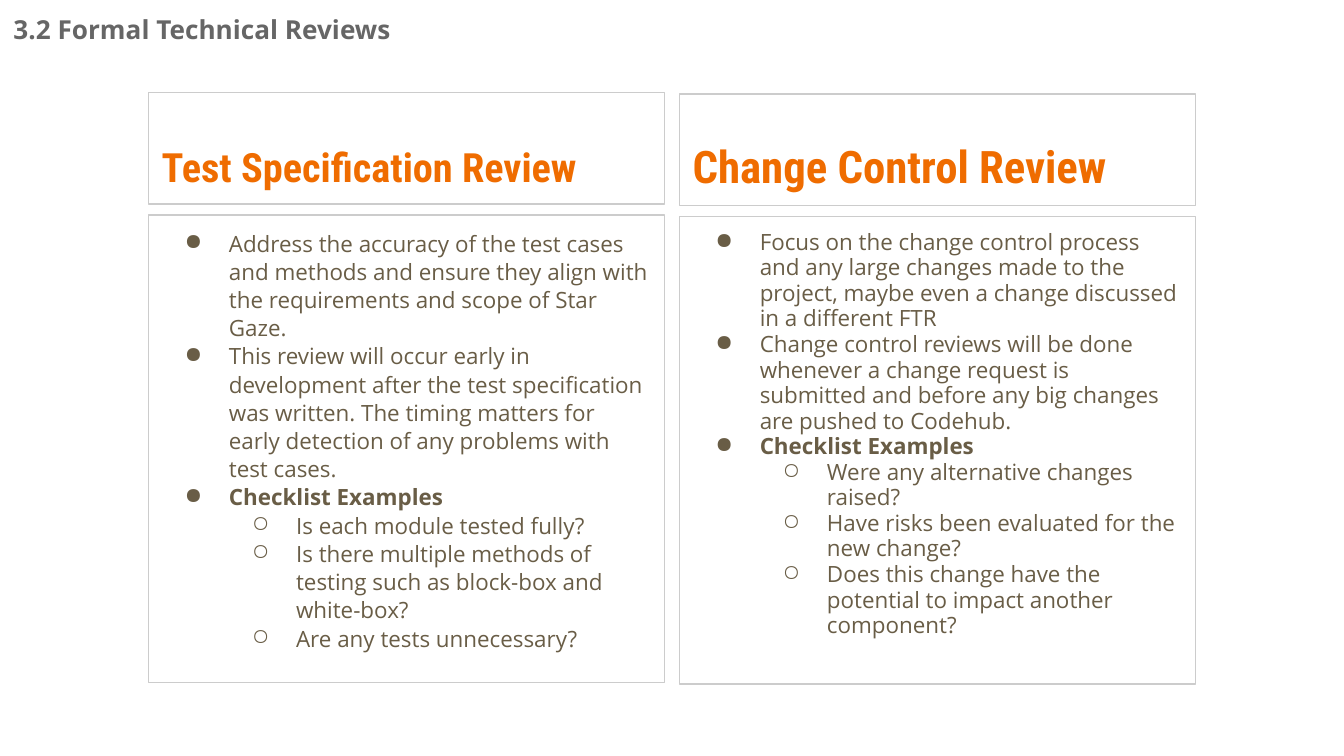
from dataclasses import dataclass

import lxml.etree
import pptx
import pptx.dml.color
import pptx.enum.shapes
import pptx.enum.text
import pptx.oxml.ns
import pptx.util

PX = 4572  # EMU per px, at 200 px to the inch
BROWN = "695D46"
BULLETS = "●○"
STEP, INDENT, INSET = 100, 66, 20
HEAD_H, BODY_H, CARD_W = 166, 696, 768
BODY_DROP = 182


@dataclass
class Item:
    text: str
    level: int = 0
    bold: bool = False


@dataclass
class Card:
    left: int
    top: int
    title: str
    size: float
    spacing: float
    items: list[Item]


CARDS = [
    Card(221, 138, "Test Specification Review", 21.6, 1.05, [
        Item("Address the accuracy of the test cases and methods and ensure they "
             "align with the requirements and scope of Star Gaze."),
        Item("This review will occur early in development after the test "
             "specification was written. The timing matters for early detection "
             "of any problems with test cases."),
        Item("Checklist Examples", bold=True),
        Item("Is each module tested fully?", 1),
        Item("Is there multiple methods of testing such as block-box and white-box?", 1),
        Item("Are any tests unnecessary?", 1),
    ]),
    Card(1011, 140, "Change Control Review", 24, 0.95, [
        Item("Focus on the change control process and any large changes made to "
             "the project, maybe even a change discussed in a different FTR"),
        Item("Change control reviews will be done whenever a change request is "
             "submitted and before any big changes are pushed to Codehub."),
        Item("Checklist Examples", bold=True),
        Item("Were any alternative changes raised?", 1),
        Item("Have risks been evaluated for the new change?", 1),
        Item("Does this change have the potential to impact another component?", 1),
    ]),
]


def px(n: int) -> pptx.util.Emu:
    return pptx.util.Emu(n * PX)


def rgb(code: str) -> pptx.dml.color.RGBColor:
    return pptx.dml.color.RGBColor.from_string(code)


def style(para, font: str, size: float, color: str, bold: bool) -> None:
    para.alignment = pptx.enum.text.PP_ALIGN.LEFT
    for run in para.runs:
        run.font.name = font
        run.font.size = pptx.util.Pt(size)
        run.font.color.rgb = rgb(color)
        run.font.bold = bold


def set_frame(frame, anchor) -> None:
    """Wrap the text, anchor it and give it equal insets."""
    frame.word_wrap = True
    frame.auto_size = pptx.enum.text.MSO_AUTO_SIZE.NONE
    frame.vertical_anchor = anchor
    frame.margin_left = frame.margin_right = px(INSET)
    frame.margin_top = frame.margin_bottom = px(INSET)


def add_box(slide, left: int, top: int, height: int, anchor):
    """Add an outlined box of card width and return its text frame."""
    box = slide.shapes.add_shape(pptx.enum.shapes.MSO_SHAPE.RECTANGLE,
                                 px(left), px(top), px(CARD_W), px(height))
    box.shadow.inherit = False
    box.fill.background()
    box.line.color.rgb = rgb("CCCCCC")
    box.line.width = pptx.util.Pt(0.75)
    set_frame(box.text_frame, anchor)
    return box.text_frame


def set_bullet(para, level: int) -> None:
    para.level = level
    props = para._p.get_or_add_pPr()
    props.set("marL", str(px(STEP * (level + 1))))
    props.set("indent", str(px(-INDENT)))
    qn = pptx.oxml.ns.qn
    color = lxml.etree.SubElement(props, qn("a:buClr"))
    lxml.etree.SubElement(color, qn("a:srgbClr"), val=BROWN)
    lxml.etree.SubElement(props, qn("a:buChar"), char=BULLETS[level])


def add_card(slide, card: Card) -> None:
    anchor = pptx.enum.text.MSO_ANCHOR
    head = add_box(slide, card.left, card.top, HEAD_H, anchor.BOTTOM)
    head.text = card.title
    style(head.paragraphs[0], "Roboto Condensed", card.size, "EF6C00", True)

    body = add_box(slide, card.left, card.top + BODY_DROP, BODY_H, anchor.TOP)
    body.text = "\n".join(item.text for item in card.items)
    for para, item in zip(body.paragraphs, card.items):
        style(para, "Open Sans", 12, BROWN, item.bold)
        para.line_spacing = card.spacing
        set_bullet(para, item.level)


def set_title(slide, text: str) -> None:
    title = slide.shapes.title
    title.left, title.top, title.width, title.height = px(0), px(0), px(656), px(88)
    title.text_frame.text = text
    set_frame(title.text_frame, pptx.enum.text.MSO_ANCHOR.TOP)
    style(title.text_frame.paragraphs[0], "Open Sans", 14, "666666", True)


def main() -> None:
    deck = pptx.Presentation()
    deck.slide_width, deck.slide_height = px(2000), px(1125)
    slide = deck.slides.add_slide(deck.slide_layouts.get_by_name("Title Only"))
    set_title(slide, "3.2 Formal Technical Reviews")
    for card in CARDS:
        add_card(slide, card)
    deck.save("out.pptx")


if __name__ == "__main__":
    main()
